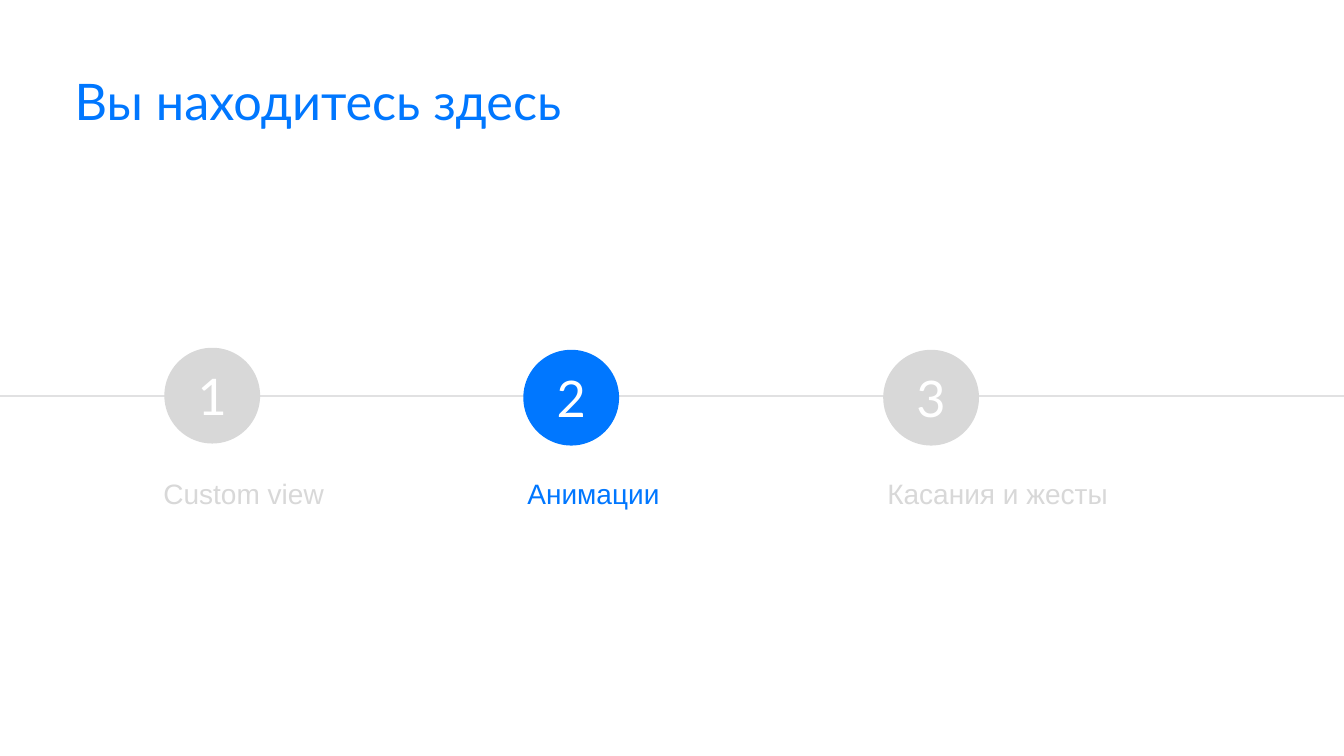
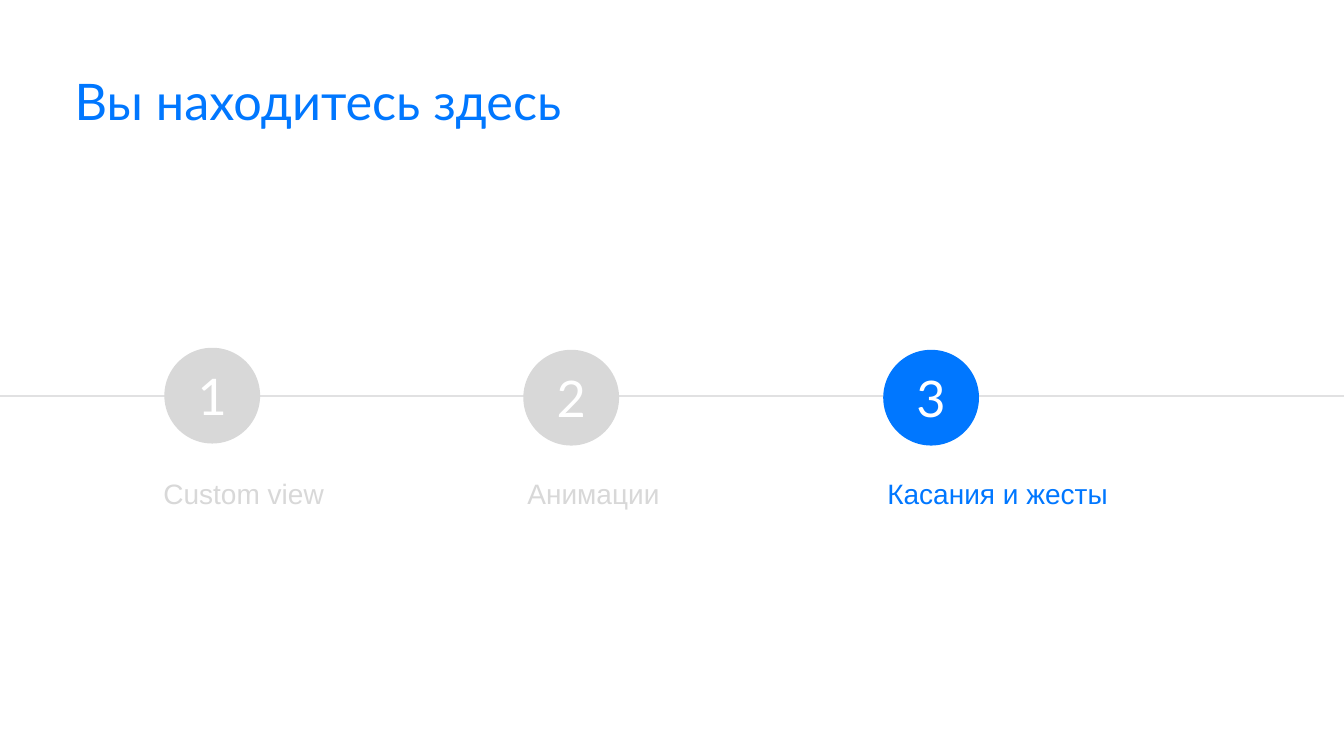
from lxml import etree
from pptx import Presentation
from pptx.dml.color import RGBColor
from pptx.enum.shapes import MSO_CONNECTOR, MSO_SHAPE
from pptx.enum.text import MSO_ANCHOR, MSO_AUTO_SIZE, PP_ALIGN
from pptx.oxml.ns import qn
from pptx.util import Inches, Pt

STRAIGHT = MSO_CONNECTOR.STRAIGHT
OVAL = MSO_SHAPE.OVAL
TOP, MIDDLE = MSO_ANCHOR.TOP, MSO_ANCHOR.MIDDLE
NO_FIT, GROW = MSO_AUTO_SIZE.NONE, MSO_AUTO_SIZE.SHAPE_TO_FIT_TEXT
LEFT, CENTER = PP_ALIGN.LEFT, PP_ALIGN.CENTER

BLUE, GREY, RULE, WHITE = "0077FF", "D8D8D8", "E1E1E2", "FFFFFF"
TITLE = "Вы находитесь здесь"
STEPS = [
    ("Custom view", 1.63, 3.45, 1.58),
    ("Анимации", 5.19, 3.47, 5.19),
    ("Касания и жесты", 8.76, 3.47, 8.76),
]
DIAMETER = 0.95


def rgb(value):
    return RGBColor.from_string(value)


def write(sp, text, font, size, color, align, spacing, anchor, fit, inset_x, inset_y):
    tf = sp.text_frame
    tf.word_wrap = True
    tf.auto_size = fit
    tf.vertical_anchor = anchor
    tf.margin_left = tf.margin_right = Inches(inset_x)
    tf.margin_top = tf.margin_bottom = Inches(inset_y)
    p = tf.paragraphs[0]
    p.text = text
    p.alignment = align
    p.line_spacing = spacing
    p.font.name = font
    p.font.size = Pt(size)
    p.font.color.rgb = rgb(color)


prs = Presentation()
prs.slide_width = Inches(13.33)
prs.slide_height = Inches(7.5)

for current in (2, 3):
    s = prs.slides.add_slide(prs.slide_layouts[5])

    title = s.shapes.title
    title.left, title.top = Inches(0.74), Inches(0.76)
    title.width, title.height = Inches(11.87), Inches(0.7)
    write(title, TITLE, "Lato", 36, BLUE, LEFT, 0.9, TOP, NO_FIT, 0, 0)

    line = s.shapes.add_connector(STRAIGHT, 0, Inches(3.93), prs.slide_width, Inches(3.93))
    line.line.color.rgb = rgb(RULE)
    line.line.width = Pt(1)
    etree.SubElement(line._element.spPr, qn("a:effectLst"))

    for number, (label, x, y, label_x) in enumerate(STEPS, 1):
        color = BLUE if number == current else GREY

        sp = s.shapes.add_shape(OVAL, Inches(x), Inches(y), Inches(DIAMETER), Inches(DIAMETER))
        sp.shadow.inherit = False
        sp.fill.solid()
        sp.fill.fore_color.rgb = rgb(color)
        sp.line.fill.background()
        write(sp, str(number), "Lato", 36, WHITE, CENTER, 1.0, MIDDLE, NO_FIT, 0, 0.05)

        box = s.shapes.add_textbox(Inches(label_x), Inches(4.65), Inches(2.79), Inches(0.45))
        write(box, label, "Arial", 20, color, LEFT, 1.1, TOP, GROW, 0.04, 0.04)

prs.save("out.pptx")
